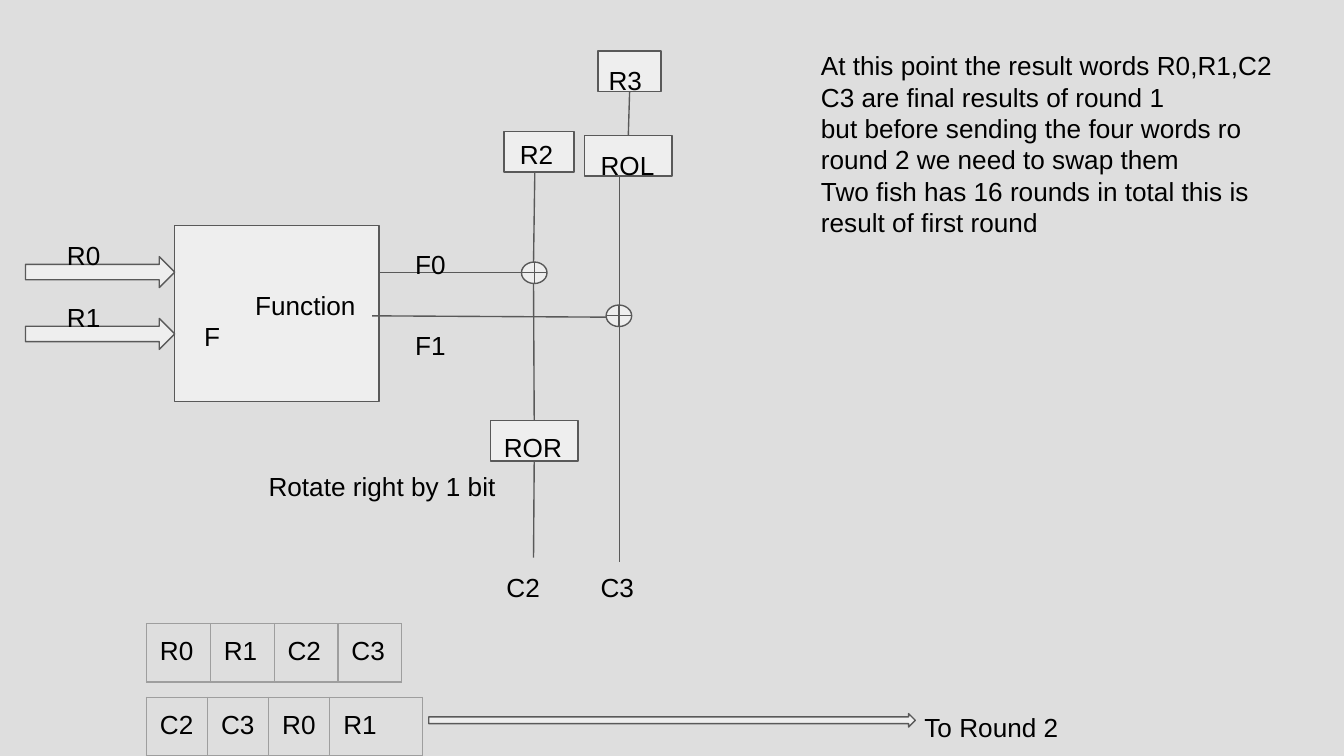
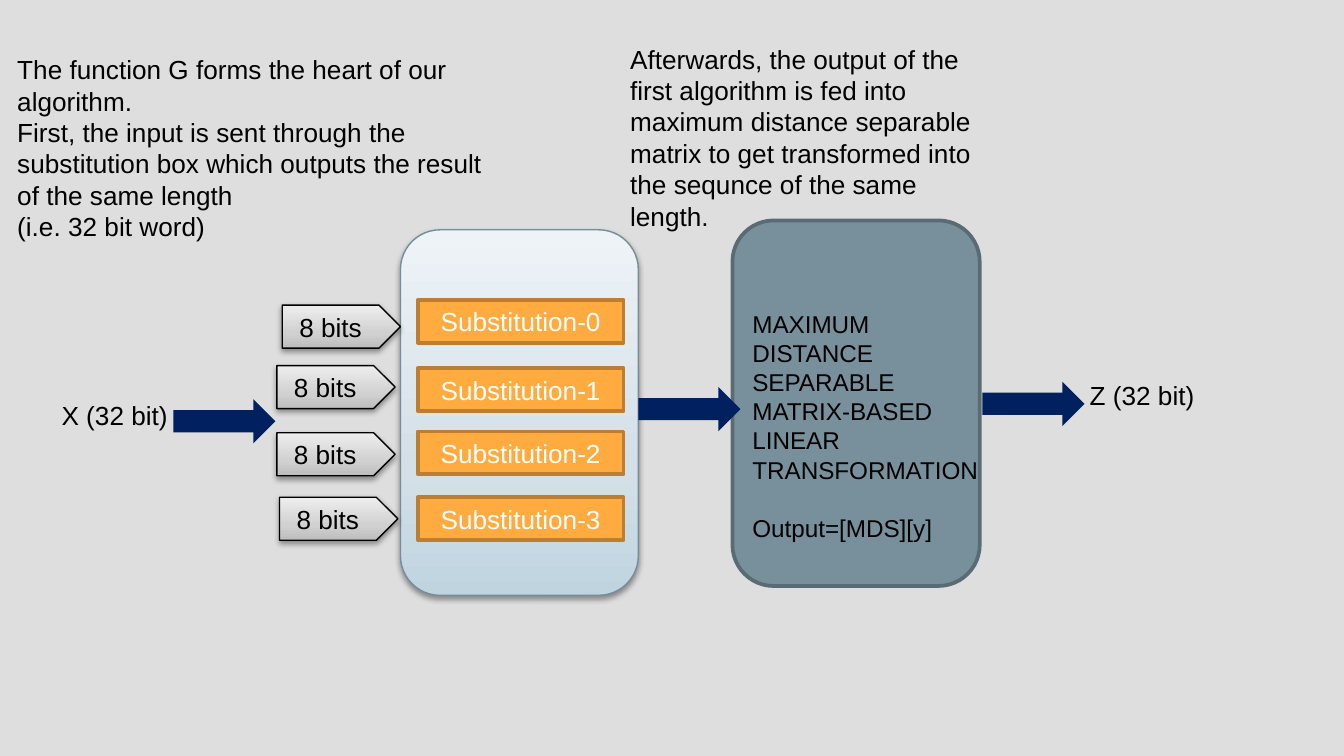
from lxml import etree
from pptx import Presentation
from pptx.dml.color import RGBColor
from pptx.enum.shapes import MSO_CONNECTOR, MSO_SHAPE
from pptx.enum.text import MSO_ANCHOR, PP_ALIGN
from pptx.oxml.ns import qn
from pptx.util import Inches, Pt

RECT = MSO_SHAPE.RECTANGLE
ROUND_RECT = MSO_SHAPE.ROUNDED_RECTANGLE
ARROW = MSO_SHAPE.RIGHT_ARROW
XOR = MSO_SHAPE.FLOWCHART_OR
STRAIGHT = MSO_CONNECTOR.STRAIGHT
TOP, MIDDLE = MSO_ANCHOR.TOP, MSO_ANCHOR.MIDDLE
LEFT, CENTER = PP_ALIGN.LEFT, PP_ALIGN.CENTER
SIDE_TOP, SIDE_BOTTOM = 0, 2

FONT = "Arial"
COLORS = {
    "background": "DEDEDE",
    "text": "000000",
    "white": "FFFFFF",
    "block": "EEEEEE",
    "outline": "595959",
    "grid": "9E9E9E",
    "matrix": "78909C",
    "matrix_edge": "596B73",
    "sbox_edge": "748D99",
    "substitution": "FFAB40",
    "substitution_edge": "BD7F2F",
    "flow": "002060",
}
SBOX_GRADIENT = [(0, "C0D4E0"), (35, "D3E0E8"), (100, "EEF3F7")]
BITS_GRADIENT = [(0, "BDBDBD"), (35, "D1D1D1"), (100, "EEEEEE")]


def rgb(name):
    return RGBColor.from_string(COLORS[name])


def add_child(parent, tag, **attributes):
    child = etree.SubElement(parent, qn(tag))
    for key, value in attributes.items():
        child.set(key, str(value))
    return child


def write_text(frame, text, size=14, color="text", align=LEFT, anchor=TOP,
               top_margin=0.1, first_indent=0, gap=0):
    """Fill a frame, one paragraph per line of text; gap is in points between them."""
    frame.word_wrap = True
    frame.vertical_anchor = anchor
    frame.margin_left = frame.margin_right = Inches(0.1)
    frame.margin_top = Inches(top_margin)
    frame.margin_bottom = Inches(min(top_margin, 0.1))
    for index, line in enumerate(text.split("\n")):
        paragraph = frame.add_paragraph() if index else frame.paragraphs[0]
        paragraph.alignment = align
        if index and gap:
            paragraph.space_before = Pt(gap)
        if first_indent:
            paragraph._p.get_or_add_pPr().set("indent", str(Inches(first_indent)))
        run = paragraph.add_run()
        run.text = line
        run.font.name = FONT
        run.font.size = Pt(size)
        run.font.color.rgb = rgb(color)


def add_label(slide, text, box, **text_format):
    label = slide.shapes.add_textbox(*map(Inches, box))
    write_text(label.text_frame, text, **text_format)


def set_gradient(shape, stops):
    """Run the stops from the bottom of the shape to its top."""
    shape.fill.gradient()
    gradient = shape._element.spPr.find(qn("a:gradFill"))
    for child in list(gradient):
        gradient.remove(child)
    stop_list = add_child(gradient, "a:gsLst")
    for position, color in stops:
        stop = add_child(stop_list, "a:gs", pos=position * 1000)
        add_child(stop, "a:srgbClr", val=color)
    add_child(gradient, "a:lin", ang=16200000, scaled=0)


def set_shadow(shape):
    effects = shape._element.spPr.find(qn("a:effectLst"))
    shadow = add_child(effects, "a:outerShdw", blurRad=Pt(3.1), dist=Pt(1.6),
                       dir=5400000, rotWithShape=0)
    color = add_child(shadow, "a:srgbClr", val=COLORS["text"])
    add_child(color, "a:alpha", val=38000)


def add_block(slide, kind, box, fill="block", edge="outline", width=0.75, gradient=None):
    """Add a preset shape; a gradient replaces the fill and brings a shadow."""
    block = slide.shapes.add_shape(kind, *map(Inches, box))
    block.shadow.inherit = False
    if gradient:
        set_gradient(block, gradient)
        set_shadow(block)
    else:
        block.fill.solid()
        block.fill.fore_color.rgb = rgb(fill)
    if edge:
        block.line.color.rgb = rgb(edge)
        block.line.width = Pt(width)
    else:
        block.line.fill.background()
    return block


def add_wire(slide, start, end, begin_at=None, end_at=None):
    """Draw a line; begin_at and end_at are (block, side) pairs to join."""
    wire = slide.shapes.add_connector(STRAIGHT, *map(Inches, start + end))
    if begin_at:
        wire.begin_connect(*begin_at)
    if end_at:
        wire.end_connect(*end_at)
    wire.line.color.rgb = rgb("outline")
    wire.line.width = Pt(0.75)
    add_child(wire._element.spPr, "a:effectLst")


def add_word_row(slide, words, left, top, widths):
    height = Inches(0.43)
    table = slide.shapes.add_table(1, len(words), Inches(left), Inches(top),
                                   Inches(sum(widths)), height).table
    table.first_row = table.horz_banding = False
    table.rows[0].height = height
    for column, (word, width) in enumerate(zip(words, widths)):
        table.columns[column].width = Inches(width)
        cell = table.cell(0, column)
        write_text(cell.text_frame, word)
        cell.margin_left = cell.margin_right = Inches(0.1)
        cell.margin_top = cell.margin_bottom = Inches(0.1)
        properties = cell._tc.get_or_add_tcPr()
        for side in ("a:lnL", "a:lnR", "a:lnT", "a:lnB"):
            border = add_child(properties, side, w=Pt(0.75))
            add_child(add_child(border, "a:solidFill"), "a:srgbClr", val=COLORS["grid"])
        cell.fill.background()


def build_round_slide(slide):
    add_block(slide, RECT, (1.3, 1.68, 1.52, 1.31))
    add_label(slide, "Function F", (1.42, 1.82, 1.35, 1.07), top_margin=0.33,
              first_indent=0.38)
    for word, top in (("R0", 1.68), ("R1", 2.14)):
        add_block(slide, ARROW, (0.19, top + 0.23, 1.11, 0.23))
        add_label(slide, word, (0.4, top, 0.52, 0.23))

    for start, end in (
        ((2.77, 2.35), (4.51, 2.36)),
        ((2.82, 2.03), (3.88, 2.03)),
        ((3.97, 1.95), (3.98, 1.24)),
        ((4.61, 2.27), (4.61, 1.29)),
        ((4.61, 2.43), (4.61, 4.18)),
    ):
        add_wire(slide, start, end)
    for left, top in ((3.88, 1.95), (4.51, 2.27)):
        add_block(slide, XOR, (left, top, 0.19, 0.16))

    add_block(slide, RECT, (3.75, 0.98, 0.52, 0.3))
    rol = add_block(slide, RECT, (4.35, 1.01, 0.65, 0.3))
    r3 = add_block(slide, RECT, (4.45, 0.38, 0.47, 0.3))
    ror = add_block(slide, RECT, (3.65, 3.13, 0.65, 0.3))
    add_wire(slide, (4.67, 1.01), (4.69, 0.68), (rol, SIDE_TOP), (r3, SIDE_BOTTOM))
    add_wire(slide, (3.97, 2.11), (3.97, 3.13), end_at=(ror, SIDE_TOP))
    add_wire(slide, (3.97, 3.43), (3.97, 4.15), begin_at=(ror, SIDE_BOTTOM))

    for text, box in (
        ("R2", (3.77, 0.93, 0.47, 0.36)),
        ("ROL", (4.37, 1.01, 0.62, 0.3)),
        ("R3", (4.43, 0.38, 0.52, 0.3)),
        ("F0", (2.99, 1.75, 0.52, 0.3)),
        ("F1", (2.99, 2.35, 0.52, 0.3)),
        ("ROR", (3.65, 3.15, 0.75, 0.16)),
        ("C2", (3.67, 4.15, 0.62, 0.3)),
        ("C3", (4.37, 4.15, 0.62, 0.3)),
        ("Rotate right by 1 bit", (1.9, 3.4, 2.17, 0.23)),
        ("To Round 2", (6.78, 5.19, 2.06, 0.43)),
    ):
        add_label(slide, text, box)

    add_word_row(slide, ("R0", "R1", "C2", "C3"), 1.09, 4.64, [0.475] * 4)
    add_word_row(slide, ("C2", "C3", "R0", "R1"), 1.09, 5.19, [0.455] * 3 + [0.69])
    add_block(slide, ARROW, (3.19, 5.31, 3.62, 0.1))
    add_label(slide, "At this point the result words R0,R1,C2 C3 are final results of round 1\n"
              "but before sending the four words ro round 2 we need to swap them\n"
              "Two fish has 16 rounds in total this is result of first round",
              (6.01, 0.27, 3.62, 4.44))


def build_function_slide(slide):
    add_label(slide, "Z (32 bit)", (8.01, 2.72, 1.1, 0.46))
    add_label(slide, "X (32 bit)", (0.36, 2.87, 1.1, 0.46))
    add_label(slide, "Afterwards, the output of the first algorithm is fed into maximum "
              "distance separable matrix to get transformed into the sequnce of the "
              "same length.", (4.59, -0.01, 2.95, 1.85), top_margin=0.33)

    add_block(slide, ROUND_RECT, (5.45, 1.64, 1.84, 2.72), "matrix", "matrix_edge", 2)
    add_block(slide, ROUND_RECT, (2.98, 1.71, 1.77, 2.72), edge="sbox_edge",
              gradient=SBOX_GRADIENT)
    add_label(slide, "MAXIMUM DISTANCE SEPARABLE MATRIX-BASED LINEAR TRANSFORMATION\n"
              "Output=[MDS][y]", (5.5, 2.25, 1.9, 1.85), size=13,
              top_margin=0.05, gap=15.6)
    add_label(slide, "The function G forms the heart of our algorithm.\n"
              "First, the input is sent through the substitution box which outputs "
              "the result of the same length\n(i.e. 32 bit word)",
              (0.03, 0.35, 3.75, 2.22), top_margin=0.05)

    byte_lanes = ((2.1, 2.27, 2.23), (2.06, 2.72, 2.74), (2.06, 3.22, 3.21), (2.08, 3.7, 3.7))
    for index, (bits_left, bits_top, box_top) in enumerate(byte_lanes):
        bits = add_block(slide, ARROW, (bits_left, bits_top, 0.88, 0.32), edge="text",
                         gradient=BITS_GRADIENT)
        bits.adjustments[0] = 1
        bits.adjustments[1] = 0.5
        write_text(bits.text_frame, "8 bits", align=CENTER, anchor=MIDDLE, top_margin=0.05)
        substitution = add_block(slide, RECT, (3.11, box_top, 1.53, 0.32),
                                 "substitution", "substitution_edge", 2)
        write_text(substitution.text_frame, f"Substitution-{index}", color="white",
                   align=CENTER, anchor=MIDDLE, top_margin=0.05)

    for left, top in ((7.31, 2.84), (4.75, 2.88), (1.29, 2.97)):
        add_block(slide, ARROW, (left, top, 0.76, 0.33), "flow", edge=None)


def main():
    prs = Presentation()
    prs.slide_width = Inches(10)
    prs.slide_height = prs.slide_width * 9 // 16
    background = prs.slide_master.background.fill
    background.solid()
    background.fore_color.rgb = rgb("background")
    blank = prs.slide_layouts[6]
    for build in (build_round_slide, build_function_slide):
        build(prs.slides.add_slide(blank))
    prs.save("out.pptx")


if __name__ == "__main__":
    main()
